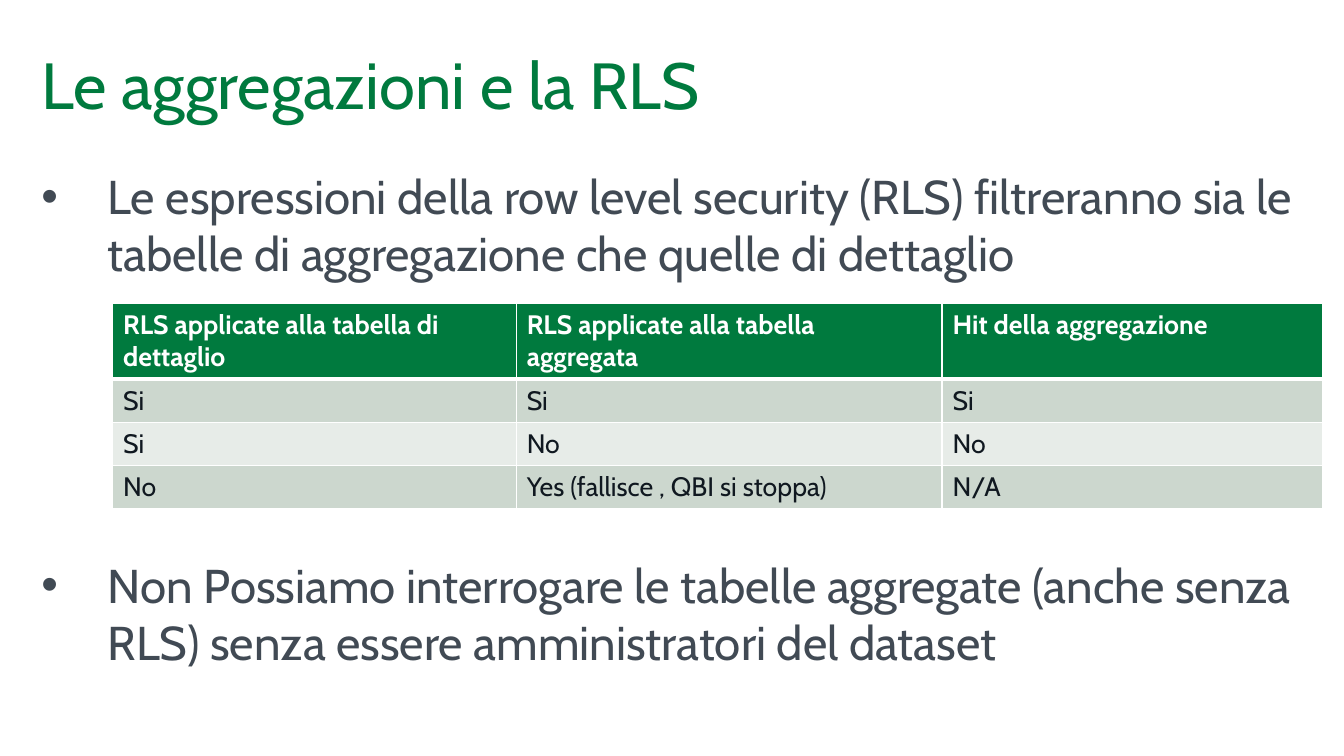
from lxml import etree
from pptx import Presentation
from pptx.dml.color import RGBColor
from pptx.enum.text import MSO_ANCHOR, MSO_AUTO_SIZE, PP_ALIGN
from pptx.oxml.ns import qn
from pptx.util import Pt

LEFT = PP_ALIGN.LEFT
TOP, MIDDLE = MSO_ANCHOR.TOP, MSO_ANCHOR.MIDDLE
NO_AUTOFIT = MSO_AUTO_SIZE.NONE

TITLE = "Le aggregazioni e la RLS"
BULLETS = [
    "Le espressioni della row level security (RLS) filtreranno sia le "
    "tabelle di aggregazione che quelle di dettaglio",
    "Non Possiamo interrogare le tabelle aggregate (anche senza RLS) "
    "senza essere amministratori del dataset",
]
RLS_CASES = [
    ("RLS applicate alla tabella di dettaglio",
     "RLS applicate alla tabella aggregata", "Hit della aggregazione"),
    ("Si", "Si", "Si"),
    ("Si", "No", "No"),
    ("No", "Yes (fallisce , QBI si stoppa)", "N/A"),
]

FONT = "Cabin"
GREEN, SLATE, INK, WHITE = "007A3E", "414A54", "101820", "FFFFFF"
BANDS = ("CCD7CE", "E7ECE8")
MARGIN = 28
INDENT = 44.64
TABLE_GAP = 185.5
COLUMN_WIDTHS = (272.5, 287.5, 257)
HEADER_HEIGHT, ROW_HEIGHT = 51, 29.2


def color(hex_value):
    return RGBColor.from_string(hex_value)


def style(paragraph, size, hex_value, bold=False):
    paragraph.alignment = LEFT
    font = paragraph.font
    font.name, font.size, font.bold = FONT, Pt(size), bold
    font.color.rgb = color(hex_value)


def prepare(frame, anchor):
    """Make a wrapping text frame without margins."""
    frame.margin_left = frame.margin_right = 0
    frame.margin_top = frame.margin_bottom = 0
    frame.word_wrap = True
    frame.auto_size = NO_AUTOFIT
    frame.vertical_anchor = anchor


def add_bullet(paragraph):
    properties = paragraph._p.get_or_add_pPr()
    properties.set("marL", str(Pt(INDENT)))
    properties.set("indent", str(-Pt(INDENT)))
    etree.SubElement(properties, qn("a:buFont"), typeface="Arial")
    etree.SubElement(properties, qn("a:buChar"), char="•")


def set_borders(cell, widths):
    """Draw white borders; widths are left, right, top, bottom."""
    properties = cell._tc.get_or_add_tcPr()
    for position, (side, width) in enumerate(zip("LRTB", widths)):
        line = etree.Element(qn(f"a:ln{side}"), w=str(Pt(width)))
        fill = etree.SubElement(line, qn("a:solidFill"))
        etree.SubElement(fill, qn("a:srgbClr"), val=WHITE)
        properties.insert(position, line)


def add_title(slide):
    title = slide.shapes.title
    title.left, title.top = Pt(MARGIN), Pt(28)
    title.width, title.height = Pt(850), Pt(57)
    title.text = TITLE
    prepare(title.text_frame, MIDDLE)
    style(title.text_frame.paragraphs[0], 44, GREEN)


def add_bullets(slide):
    box = slide.shapes.add_textbox(Pt(MARGIN), Pt(113), Pt(879), Pt(397))
    frame = box.text_frame
    prepare(frame, TOP)
    for index, bullet in enumerate(BULLETS):
        paragraph = frame.add_paragraph() if index else frame.paragraphs[0]
        paragraph.text = bullet
        add_bullet(paragraph)
        if index:
            paragraph.space_before = Pt(TABLE_GAP)
        style(paragraph, 32, SLATE)


def add_rls_table(slide):
    heights = [HEADER_HEIGHT] + [ROW_HEIGHT] * (len(RLS_CASES) - 1)
    table = slide.shapes.add_table(
        len(RLS_CASES), len(COLUMN_WIDTHS), Pt(75.9), Pt(204.8),
        Pt(sum(COLUMN_WIDTHS)), Pt(sum(heights))).table
    table.horz_banding = False
    for column, width in zip(table.columns, COLUMN_WIDTHS):
        column.width = Pt(width)
    for r, (case, height) in enumerate(zip(RLS_CASES, heights)):
        table.rows[r].height = Pt(height)
        header = r == 0
        for c, value in enumerate(case):
            cell = table.cell(r, c)
            cell.text = value
            style(cell.text_frame.paragraphs[0], 18,
                  WHITE if header else INK, bold=header)
            cell.fill.solid()
            cell.fill.fore_color.rgb = color(
                GREEN if header else BANDS[(r - 1) % 2])
            set_borders(cell, (1, 1, 3 if r == 1 else 1, 3 if header else 1))


def main():
    deck = Presentation()
    deck.slide_width, deck.slide_height = Pt(907.2), Pt(510.5)
    slide = deck.slides.add_slide(deck.slide_layouts.get_by_name("Title Only"))
    add_title(slide)
    add_bullets(slide)
    add_rls_table(slide)
    deck.save("out.pptx")


if __name__ == "__main__":
    main()
